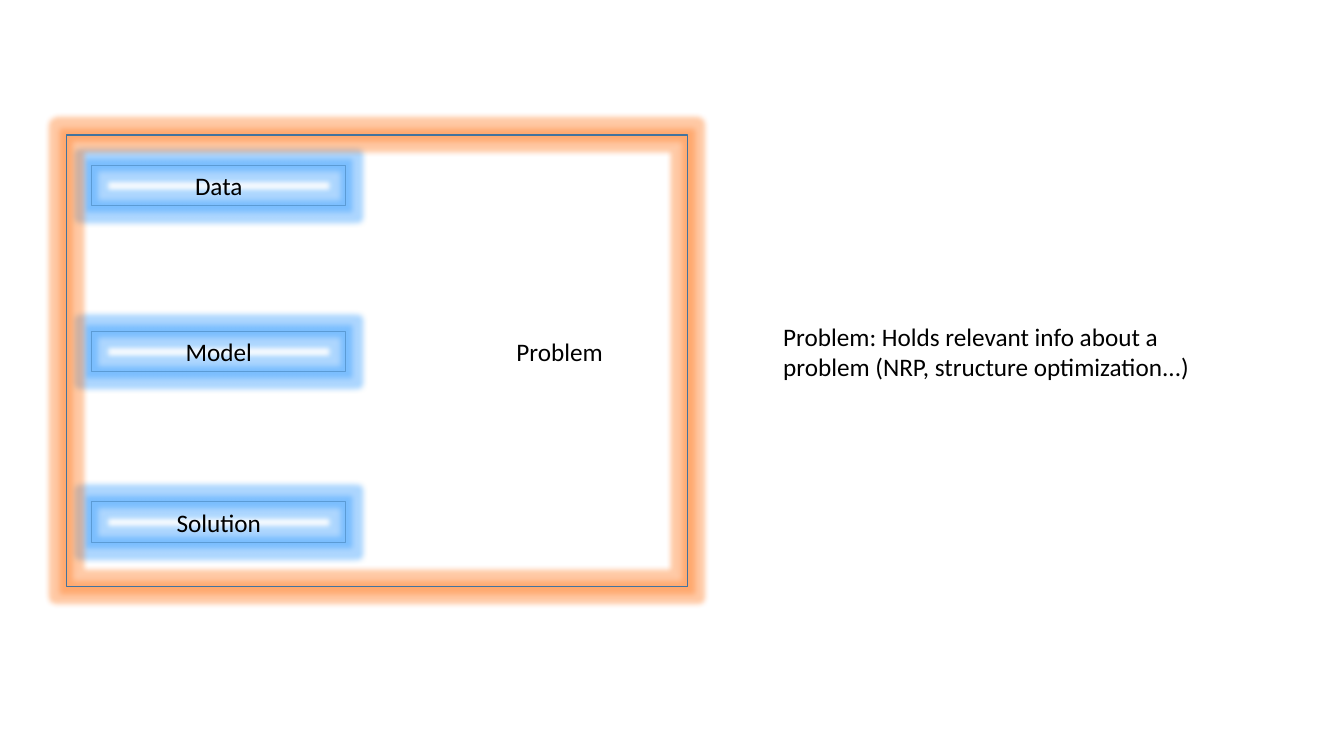
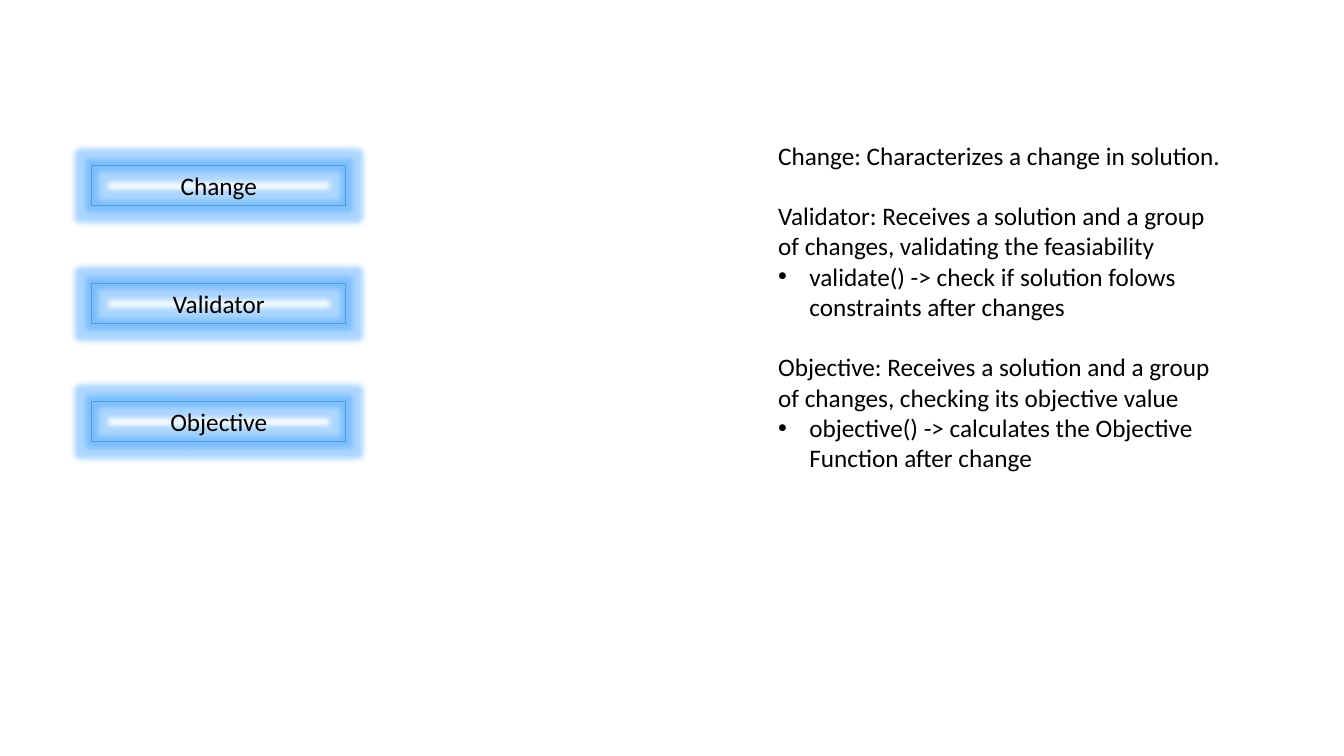
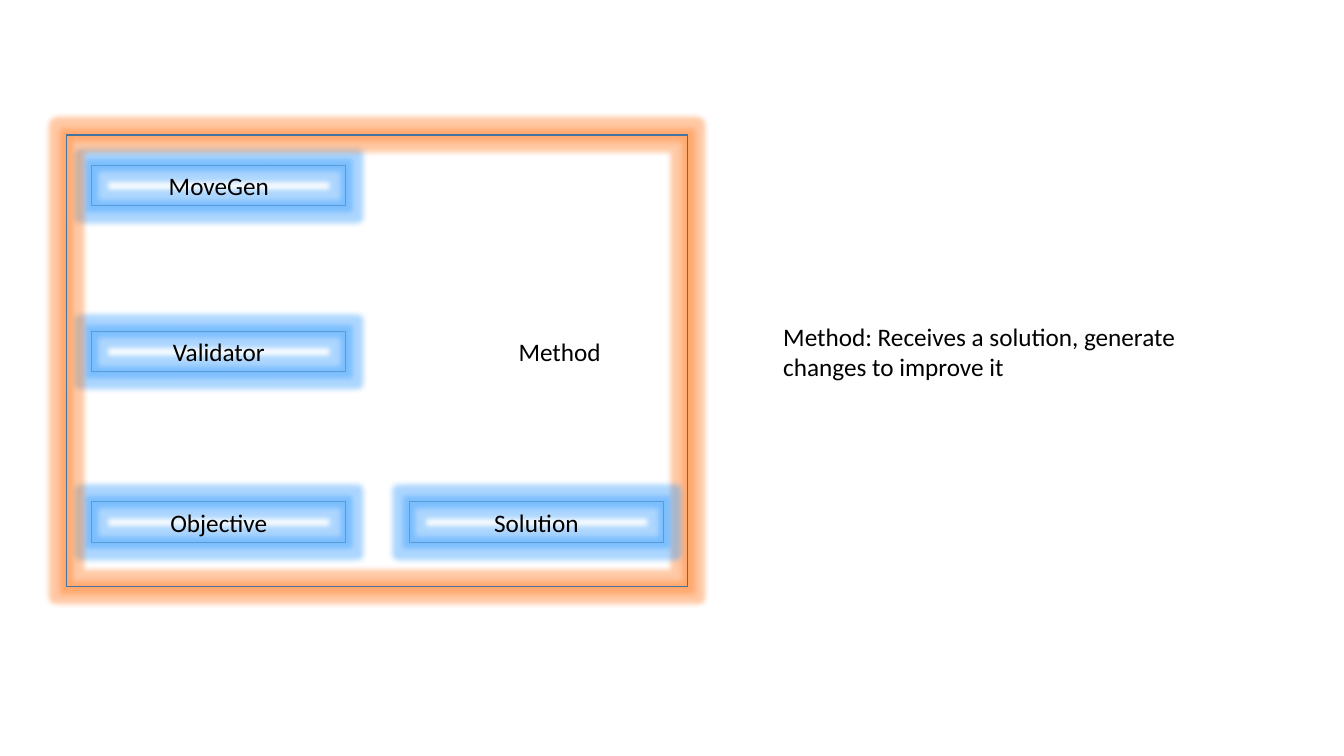
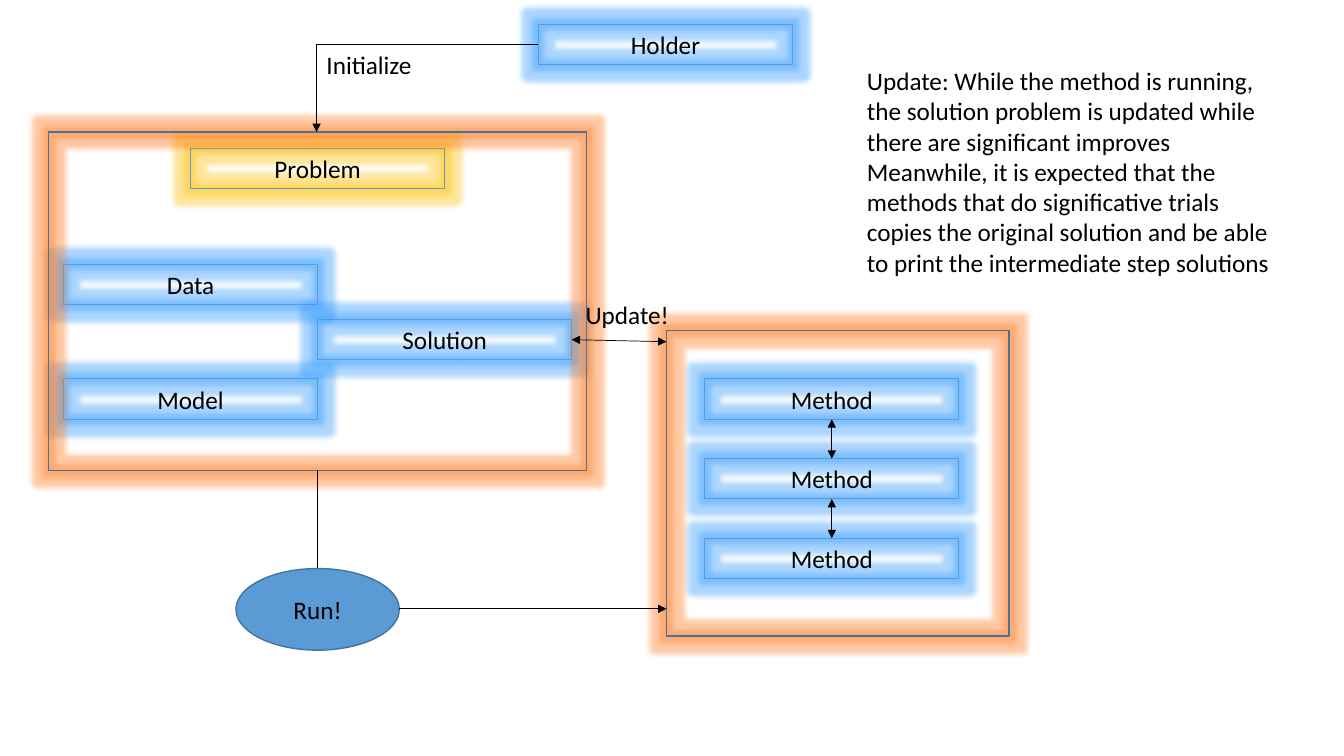
"""Build four slides on the parts of an optimization framework."""
from lxml import etree
from pptx import Presentation
from pptx.dml.color import RGBColor
from pptx.enum.shapes import MSO_CONNECTOR, MSO_SHAPE
from pptx.enum.text import MSO_ANCHOR, MSO_AUTO_SIZE, PP_ALIGN
from pptx.oxml.ns import qn
from pptx.util import Inches, Pt

RECT, OVAL = MSO_SHAPE.RECTANGLE, MSO_SHAPE.OVAL
LINE, ELBOW = MSO_CONNECTOR.STRAIGHT, MSO_CONNECTOR.ELBOW
LEFT, CENTER = PP_ALIGN.LEFT, PP_ALIGN.CENTER
TOP, MIDDLE = MSO_ANCHOR.TOP, MSO_ANCHOR.MIDDLE
GROW = MSO_AUTO_SIZE.SHAPE_TO_FIT_TEXT

COLORS = {"text": "000000", "fill": "5B9BD5", "edge": "5B9BD5",
          "frame": "43739E", "blue": "319BFF", "orange": "FF7A1F",
          "yellow": "FFC000"}
FONT, SIZE = "Calibri", 18
BOX_W, BOX_H = 2.52, 0.4
BOX_X = 0.91
ROWS = (1.64, 3.29, 4.98)
GLOW = Pt(8)


def rgb(name):
    return RGBColor.from_string(COLORS[name])


def style(para, align=LEFT):
    para.alignment = align
    para.font.name, para.font.size = FONT, Pt(SIZE)
    para.font.color.rgb = rgb("text")


def glow(shape, color):
    effect = shape.element.spPr.find(qn("a:effectLst"))
    halo = etree.SubElement(effect, qn("a:glow"), rad=str(GLOW))
    tint = etree.SubElement(halo, qn("a:srgbClr"), val=COLORS[color])
    etree.SubElement(tint, qn("a:alpha"), val="40000")


def bullet(para):
    props = para._p.get_or_add_pPr()
    props.set("marL", str(Inches(0.31)))
    props.set("indent", str(Inches(-0.31)))
    etree.SubElement(props, qn("a:buFont"), typeface="Arial")
    etree.SubElement(props, qn("a:buChar"), char="•")


def shape(slide, kind, x, y, w, h, edge, width):
    item = slide.shapes.add_shape(kind, *map(Inches, (x, y, w, h)))
    item.shadow.inherit = False
    item.fill.background()
    item.line.color.rgb = rgb(edge)
    item.line.width = Pt(width)
    return item


def write(item, text):
    frame = item.text_frame
    frame.word_wrap = True
    frame.vertical_anchor = MIDDLE
    frame.text = text
    style(frame.paragraphs[0], CENTER)


def box(slide, text, x, y, color="blue"):
    item = shape(slide, RECT, x, y, BOX_W, BOX_H, "edge", 0.75)
    glow(item, color)
    write(item, text)


def group(slide, x, y, w, h):
    glow(shape(slide, RECT, x, y, w, h, "frame", 1), "orange")


def oval(slide, text, x, y, w, h):
    item = shape(slide, OVAL, x, y, w, h, "frame", 1)
    item.fill.solid()
    item.fill.fore_color.rgb = rgb("fill")
    write(item, text)


def note(slide, x, y, w, h, *lines, align=LEFT, anchor=TOP, wrap=True):
    frame = slide.shapes.add_textbox(*map(Inches, (x, y, w, h))).text_frame
    frame.word_wrap = wrap
    frame.auto_size = GROW
    frame.vertical_anchor = anchor
    for i, text in enumerate(lines):
        para = frame.paragraphs[0] if i == 0 else frame.add_paragraph()
        para.text = text
        style(para, align)
    return frame.paragraphs


def link(slide, start, end, head=False, tail=True, kind=LINE):
    item = slide.shapes.add_connector(kind, *map(Inches, (*start, *end)))
    item.line.color.rgb = rgb("text")
    item.line.width = Pt(0.5)
    props = item.element.spPr
    etree.SubElement(props, qn("a:effectLst"))
    for tag, shown in (("a:headEnd", head), ("a:tailEnd", tail)):
        if shown:
            etree.SubElement(props.find(qn("a:ln")), qn(tag), type="triangle")
    if kind == ELBOW:
        props.find(qn("a:prstGeom")).set("prst", "bentConnector2")


def panel(slide, title, parts, text):
    for part, y in zip(parts, ROWS):
        box(slide, part, BOX_X, y)
    group(slide, 0.66, 1.34, 6.16, 4.48)
    note(slide, 4.29, ROWS[1], BOX_W, BOX_H, title,
         align=CENTER, anchor=MIDDLE)
    note(slide, 7.67, 3.14, 4.64, 0.71, text)


def checks(slide):
    for i, part in enumerate(("Change", "Validator", "Objective")):
        box(slide, part, BOX_X, ROWS[0] + 1.17 * i)
    paras = note(
        slide, 7.62, 1.34, 4.64, 3.43,
        "Change: Characterizes a change in solution.",
        "Validator: Receives a solution and a group of changes, "
        "validating the feasiability",
        "validate() -> check if solution folows constraints after changes",
        "Objective: Receives a solution and a group of changes, "
        "checking its objective value",
        "objective() -> calculates the Objective Function after change")
    for i in (1, 3):
        paras[i].space_before = Pt(21.6)
        bullet(paras[i + 1])


def flow(slide):
    box(slide, "Problem", 1.89, 1.47, "yellow")
    for text, x, y in (("Data", 0.63, 2.62), ("Model", 0.63, 3.76),
                       ("Solution", 3.15, 3.17), ("Holder", 5.34, 0.24)):
        box(slide, text, x, y)
    group(slide, 0.48, 1.31, 5.34, 3.36)
    link(slide, (5.34, 0.44), (3.14, 1.31), kind=ELBOW)
    note(slide, 3.14, 0.44, 1.06, 0.4, "Initialize", wrap=False)
    oval(slide, "Run!", 2.34, 5.64, 1.62, 0.81)
    link(slide, (3.15, 4.66), (3.15, 5.64), tail=False)

    group(slide, 6.61, 3.28, 3.4, 3.03)
    left, top, step = 6.99, 3.76, 0.79
    mid = left + BOX_W / 2
    for i in range(3):
        y = top + step * i
        box(slide, "Method", left, y)
        if i:
            link(slide, (mid, y), (mid, y - step + BOX_H), head=True)
    link(slide, (3.96, 6.04), (6.61, 6.04))
    link(slide, (5.67, 3.37), (6.61, 3.39), head=True)
    note(slide, 5.71, 2.92, 1.04, 0.4, "Update!", wrap=False)
    note(slide, 8.5, 0.6, 4.34, 2.22,
         "Update: While the method is running, the solution problem is "
         "updated while there are significant improves",
         "Meanwhile, it is expected that the methods that do significative "
         "trials copies the original solution and be able to print the "
         "intermediate step solutions")


def main():
    deck = Presentation()
    deck.slide_width, deck.slide_height = Inches(13.33), Inches(7.5)
    blank = deck.slide_layouts[6]
    first, second, third, fourth = (
        deck.slides.add_slide(blank) for _ in range(4))
    panel(first, "Problem", ("Data", "Model", "Solution"),
          "Problem: Holds relevant info about a problem "
          "(NRP, structure optimization...)")
    checks(second)
    panel(third, "Method", ("MoveGen", "Validator", "Objective"),
          "Method: Receives a solution, generate changes to improve it")
    box(third, "Solution", 4.06, ROWS[2])
    flow(fourth)
    deck.save("out.pptx")


if __name__ == "__main__":
    main()
